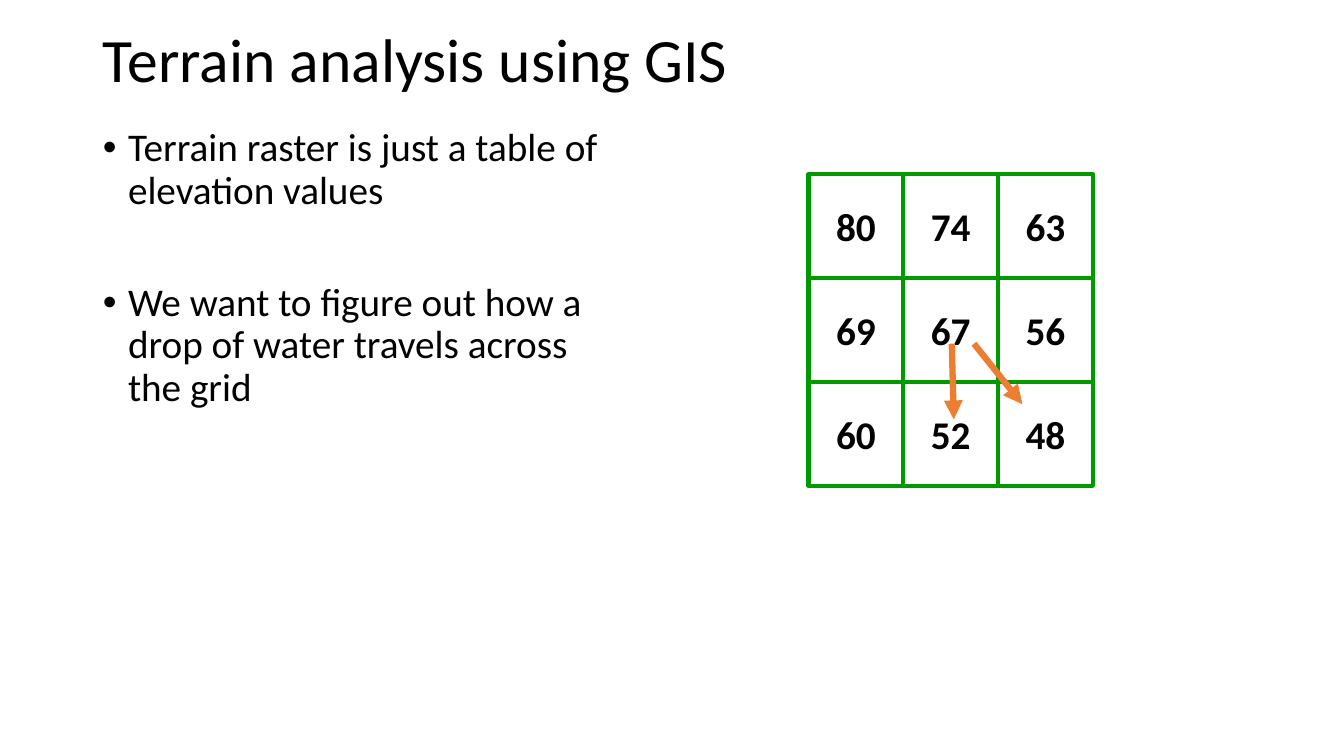
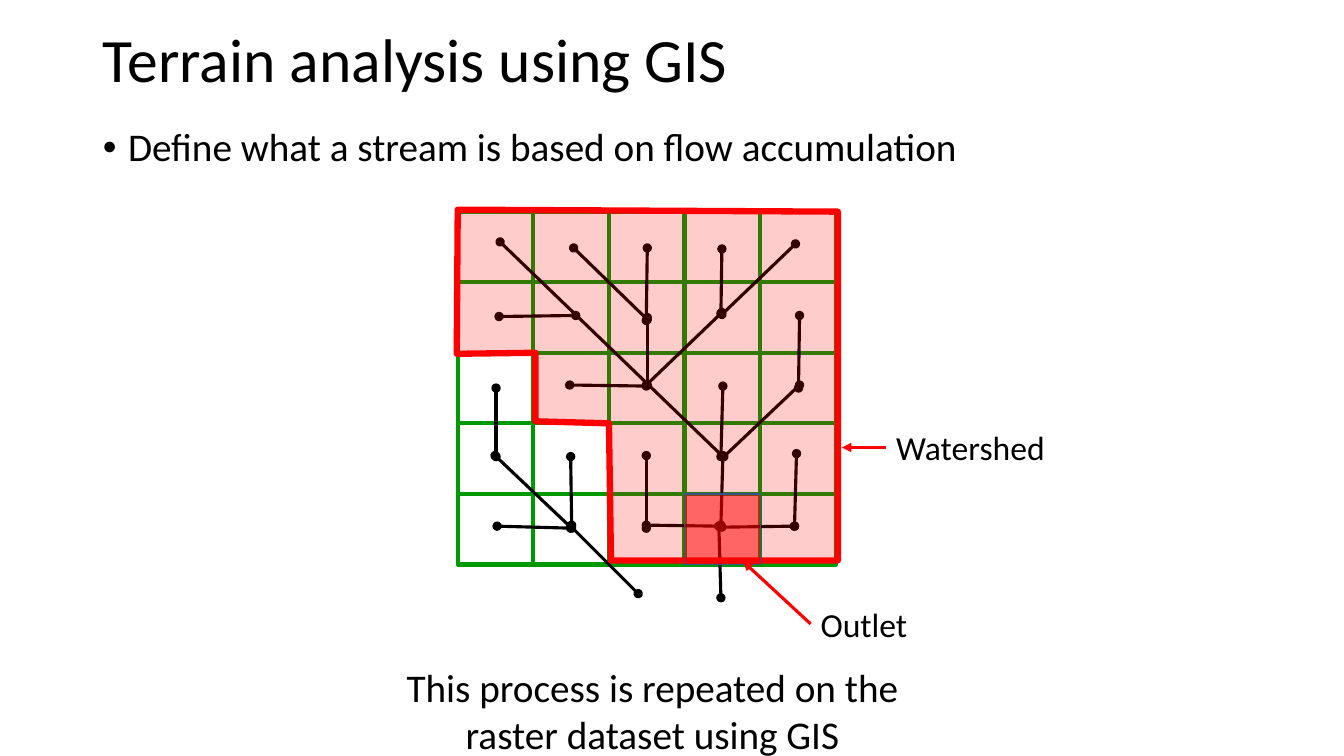
from dataclasses import dataclass

from pptx import Presentation
from pptx import util as u
from pptx.dml.color import RGBColor
from pptx.enum import shapes, text
from pptx.oxml.ns import qn
from lxml import etree


@dataclass(frozen=True)
class Theme:
    font: str = "Calibri"
    ink: str = "000000"
    grid: str = "009900"
    flow: str = "ED7D31"
    watershed: str = "FF0000"
    outlet_edge: str = "325491"
    title_size: int = 44
    body_size: int = 28
    label_size: int = 24
    line_spacing: float = 0.9
    grid_width: float = 3
    stream_width: float = 2.25
    heavy_width: float = 4.5


THEME = Theme()

# Content
TITLE = "Terrain analysis using GIS"
TITLE_BOX = (0.92, 0.02, 11.5, 1.2)

RASTER_POINTS = [
    "Terrain raster is just a table of elevation values",
    "We want to figure out how a drop of water travels across the grid",
]
ELEVATIONS = [[80, 74, 63], [69, 67, 56], [60, 52, 48]]
STEEPEST_PATHS = [((9.66, 3.41), (10.14, 4.01)), ((9.44, 3.41), (9.46, 4.16))]

STREAM_POINTS = ["Define what a stream is based on flow accumulation"]
CAPTION = "This process is repeated on the raster dataset using GIS"
GRID_ORIGIN, GRID_CELL, GRID_COUNT = (4.54, 2.1), (0.75, 0.7), 5
OUTLET_COLUMN, OUTLET_ROW = 3, 4
STREAMS = [
    ((4.96, 2.4), (7.16, 4.52)), ((5.69, 2.46), (6.42, 3.17)),
    ((4.92, 3.85), (4.92, 4.53)), ((7.13, 5.22), (7.15, 5.93)),
    ((4.91, 4.52), (5.67, 5.24)), ((4.93, 5.22), (5.66, 5.24)),
    ((6.41, 5.21), (7.13, 5.22)), ((5.66, 5.22), (6.33, 5.89)),
    ((5.66, 4.53), (5.67, 5.21)), ((5.65, 3.82), (6.41, 3.83)),
    ((4.95, 3.14), (5.71, 3.13)), ((6.42, 2.46), (6.41, 3.18)),
    ((6.42, 3.15), (6.42, 3.82)), ((7.9, 4.5), (7.88, 5.22)),
    ((6.41, 4.52), (6.41, 5.24)), ((7.16, 2.47), (7.15, 3.11)),
    ((7.17, 3.83), (7.15, 4.53)), ((7.88, 5.22), (7.16, 5.23)),
    ((7.93, 3.13), (7.92, 3.85)), ((7.16, 3.1), (6.41, 3.82)),
    ((7.89, 2.42), (7.16, 3.12)), ((7.93, 3.82), (7.18, 4.53)),
    ((7.17, 4.52), (7.15, 5.21)),
]
WATERSHED = [(4.54, 2.08), (8.31, 2.1), (8.31, 5.56), (6.06, 5.56),
             (6.04, 4.2), (5.31, 4.18), (5.31, 3.5), (4.53, 3.51)]
# Label, text box, arrow start, arrow end
CALLOUTS = [
    ("Watershed", (8.79, 4.19, 1.69, 0.5), (8.79, 4.44), (8.35, 4.44)),
    ("Outlet", (8.04, 5.94, 1.07, 0.5), (8.04, 6.19), (7.37, 5.57)),
]


def inches(values):
    return [u.Inches(value) for value in values]


# Text
def write(paragraph, words, size, bold=False, align=text.PP_ALIGN.LEFT):
    paragraph.alignment = align
    run = paragraph.add_run()
    run.text = str(words)
    run.font.name = THEME.font
    run.font.size = u.Pt(size)
    run.font.bold = bold
    run.font.color.rgb = RGBColor.from_string(THEME.ink)


def place(placeholder, box):
    placeholder.left, placeholder.top, placeholder.width, placeholder.height = inches(box)
    placeholder.text_frame.auto_size = text.MSO_AUTO_SIZE.NONE


def add_bullets(body, points, gap):
    for index, point in enumerate(points):
        frame = body.text_frame
        paragraph = frame.add_paragraph() if index else frame.paragraphs[0]
        properties = paragraph._p.get_or_add_pPr()
        properties.set("marL", str(u.Inches(0.25)))
        properties.set("indent", str(u.Inches(-0.25)))
        etree.SubElement(properties, qn("a:buChar")).set("char", "•")
        paragraph.line_spacing = THEME.line_spacing
        paragraph.space_before = u.Pt(gap if index else 0)
        write(paragraph, point, THEME.body_size)


def add_text(slide, words, box, size, wrap, align=text.PP_ALIGN.LEFT):
    frame = slide.shapes.add_textbox(*inches(box)).text_frame
    frame.word_wrap = wrap
    write(frame.paragraphs[0], words, size, align=align)


def add_content_slide(presentation, points, body_box, gap=0):
    slide = presentation.slides.add_slide(presentation.slide_layouts[1])
    title, body = slide.placeholders
    place(title, TITLE_BOX)
    title.text_frame.vertical_anchor = text.MSO_ANCHOR.MIDDLE
    paragraph = title.text_frame.paragraphs[0]
    paragraph.line_spacing = THEME.line_spacing
    write(paragraph, TITLE, THEME.title_size)
    place(body, body_box)
    add_bullets(body, points, gap)
    return slide


# Drawing
def style_shape(shape, line, width, fill=None, opacity=100):
    shape.shadow.inherit = False
    if fill:
        shape.fill.solid()
        shape.fill.fore_color.rgb = RGBColor.from_string(fill)
        color = shape._element.spPr.find(qn("a:solidFill")).find(qn("a:srgbClr"))
        etree.SubElement(color, qn("a:alpha")).set("val", str(opacity * 1000))
    else:
        shape.fill.background()
    shape.line.color.rgb = RGBColor.from_string(line)
    shape.line.width = u.Pt(width)


def add_line(parent, start, end, color, width, **ends):
    line = parent.shapes.add_connector(
        shapes.MSO_CONNECTOR.STRAIGHT, *inches(start + end))
    line.line.color.rgb = RGBColor.from_string(color)
    line.line.width = u.Pt(width)
    properties = line._element.spPr
    for tag in ("headEnd", "tailEnd"):
        if tag in ends:
            outline = properties.find(qn("a:ln"))
            etree.SubElement(outline, qn("a:" + tag)).set("type", ends[tag])
    etree.SubElement(properties, qn("a:effectLst"))


def cell_box(origin, size, column, row):
    return (origin[0] + column * size[0], origin[1] + row * size[1], *size)


def add_grid(slide, origin, size, rows):
    group = slide.shapes.add_group_shape()
    for row, values in enumerate(rows):
        for column, value in enumerate(values):
            cell = group.shapes.add_shape(
                shapes.MSO_SHAPE.RECTANGLE,
                *inches(cell_box(origin, size, column, row)))
            style_shape(cell, THEME.grid, THEME.grid_width)
            if value is not None:
                frame = cell.text_frame
                frame.word_wrap = False
                frame.vertical_anchor = text.MSO_ANCHOR.MIDDLE
                write(frame.paragraphs[0], value, THEME.body_size, True,
                      text.PP_ALIGN.CENTER)


# Slides
def build_raster_slide(presentation):
    slide = add_content_slide(
        presentation, RASTER_POINTS, (0.92, 1.22, 5.28, 5.81), gap=50)
    add_grid(slide, (8.02, 1.73), (0.94, 1.03), ELEVATIONS)
    for start, end in STEEPEST_PATHS:
        add_line(slide, start, end, THEME.flow, THEME.heavy_width,
                 tailEnd="triangle")


def build_stream_slide(presentation):
    slide = add_content_slide(
        presentation, STREAM_POINTS, (0.92, 1.22, 11.53, 0.88))
    add_text(slide, CAPTION, (3.67, 6.53, 5.6, 1.04), THEME.body_size, True,
             text.PP_ALIGN.CENTER)
    add_grid(slide, GRID_ORIGIN, GRID_CELL, [[None] * GRID_COUNT] * GRID_COUNT)

    # Stream network
    network = slide.shapes.add_group_shape()
    for start, end in STREAMS:
        add_line(network, start, end, THEME.ink, THEME.stream_width,
                 headEnd="oval", tailEnd="oval")

    # Watershed and its outlet cell
    first, *others = [inches(point) for point in WATERSHED]
    builder = slide.shapes.build_freeform(*first)
    builder.add_line_segments(others, close=True)
    style_shape(builder.convert_to_shape(), THEME.watershed, THEME.heavy_width,
                THEME.watershed, 20)
    outlet = slide.shapes.add_shape(
        shapes.MSO_SHAPE.RECTANGLE,
        *inches(cell_box(GRID_ORIGIN, GRID_CELL, OUTLET_COLUMN, OUTLET_ROW)))
    style_shape(outlet, THEME.outlet_edge, 1, THEME.watershed, 50)

    # Callouts
    for label, box, start, end in CALLOUTS:
        add_text(slide, label, box, THEME.label_size, False)
        add_line(slide, start, end, THEME.watershed, THEME.stream_width,
                 tailEnd="triangle")


def main():
    presentation = Presentation()
    presentation.slide_width = u.Inches(13.33)
    presentation.slide_height = u.Inches(7.5)
    build_raster_slide(presentation)
    build_stream_slide(presentation)
    presentation.save("out.pptx")


if __name__ == "__main__":
    main()
